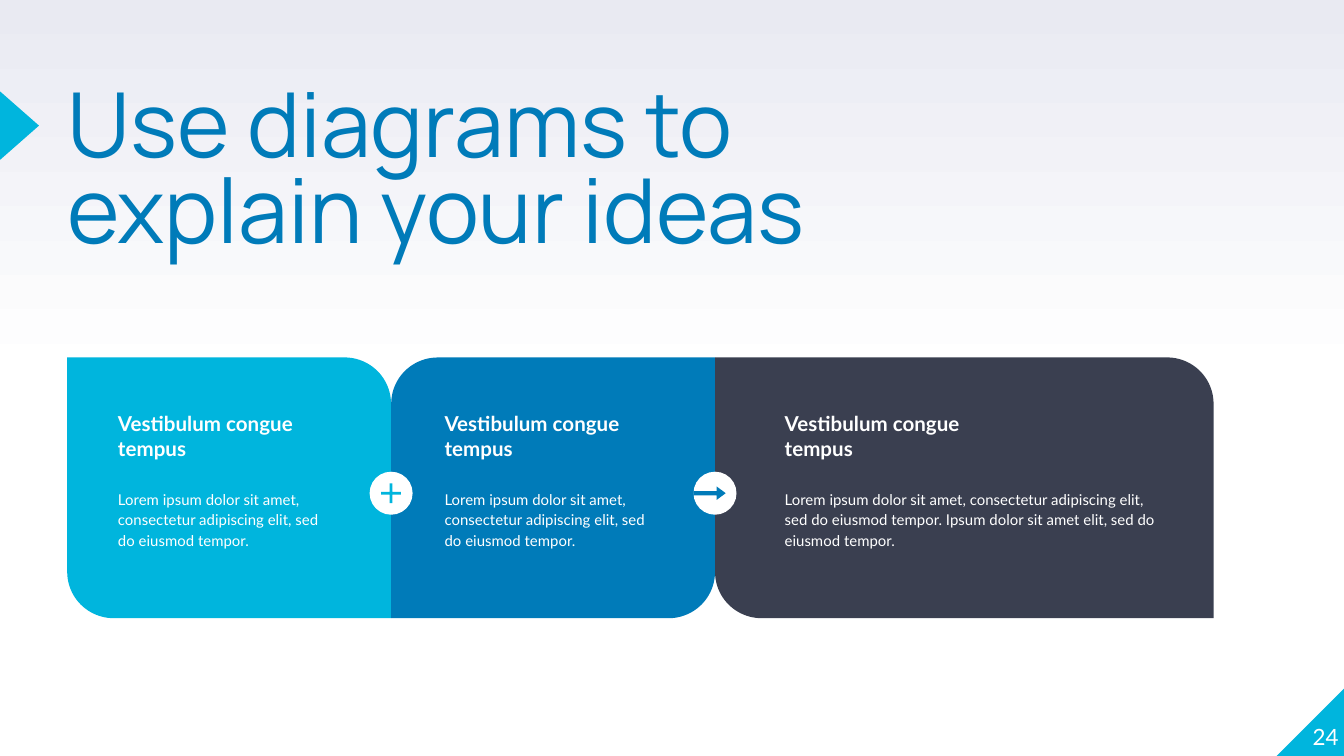
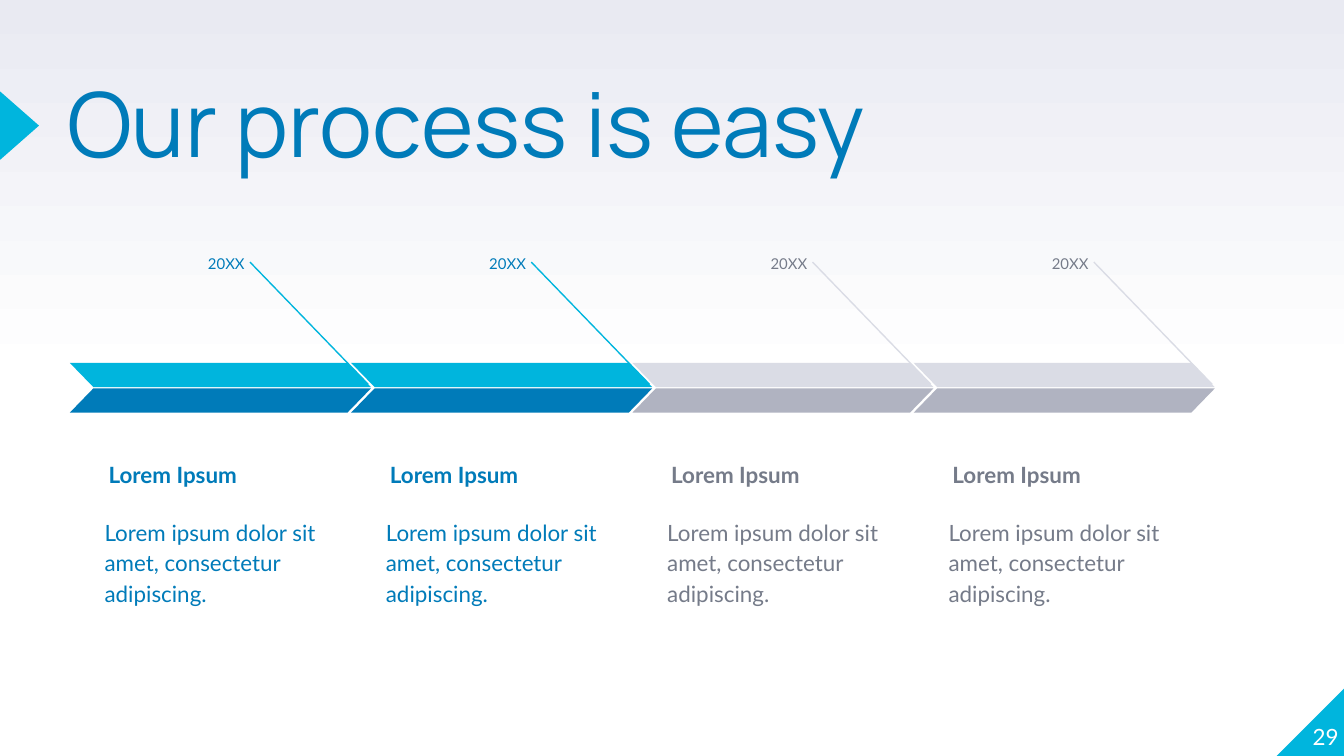
"""Build two slides: a three-card diagram and a four-step process timeline."""
import copy

from pptx import Presentation
from pptx import util as u
from pptx.dml.color import RGBColor
from pptx.enum import shapes, text
from pptx.oxml.ns import qn

W, H = 10, 5.625
CYAN, BLUE, NAVY, WHITE = "00B5DD", "007BB9", "3A3F50", "FFFFFF"
PALE, SILVER, GRAY, MIST = "DADCE5", "B0B3C1", "757B89", "E9EAF2"
MSO = shapes.MSO_SHAPE
RIGHT, BOTTOM = text.PP_ALIGN.RIGHT, text.MSO_ANCHOR.BOTTOM

TITLE = dict(size=48, font="Manrope", color=BLUE, inset=0, line_spacing=0.8)
NUMBER = dict(size=12, color=WHITE, inset=0, alignment=RIGHT, anchor=BOTTOM)
CARD_HEAD = dict(size=11, color=WHITE, bold=True)
BODY = dict(line_spacing=1.15, space_after=u.Pt(16))
CARD_BODY = dict(BODY, size=8, color=WHITE)
YEAR = dict(BODY, size=8, alignment=RIGHT)
STEP_HEAD = dict(size=12, bold=True, line_spacing=1.15, anchor=BOTTOM)
STEP_BODY = dict(BODY, size=12)

LOREM = "Lorem ipsum dolor sit amet, consectetur adipiscing elit, sed do eiusmod tempor."
CARDS = [
    dict(fill=CYAN, width=2.41, indent=0.28, text_width=1.8, turned=False,
         head="Vestibulum congue tempus", body=LOREM),
    dict(fill=BLUE, width=2.41, indent=0.3, text_width=1.8, turned=True,
         head="Vestibulum congue tempus", body=LOREM),
    dict(fill=NAVY, width=3.71, indent=0.42, text_width=2.99, turned=False,
         head="Vestibulum congue\vtempus",
         body=LOREM + " Ipsum dolor sit amet elit, sed do eiusmod tempor."),
]
DONE = dict(upper=CYAN, lower=BLUE, ink=BLUE)
NEXT = dict(upper=PALE, lower=SILVER, ink=GRAY)
STEP_TEXT = ("20XX", "Lorem Ipsum", "Lorem ipsum dolor sit amet, consectetur adipiscing.")
STEPS = [(state, *STEP_TEXT) for state in (DONE, DONE, NEXT, NEXT)]


def rgb(value):
    """Turn a hex string into a colour."""
    return RGBColor.from_string(value)


def inches(*values):
    """Turn numbers into lengths."""
    return [u.Inches(v) for v in values]


def add_shape(s, kind, box, fill, adj=(), flip=False, rotation=0):
    """Add a flat, unlined preset shape."""
    sp = s.shapes.add_shape(kind, *inches(*box))
    sp.shadow.inherit = False
    sp.fill.solid()
    sp.fill.fore_color.rgb = rgb(fill)
    sp.line.fill.background()
    sp.rotation = rotation
    for i, value in enumerate(adj):
        sp.adjustments[i] = value
    if flip:
        sp._element.spPr.xfrm.set("flipH", "1")


def add_text(s, box, content, size, color, font="Lato", bold=False, inset=0.1,
             anchor=text.MSO_ANCHOR.TOP, **paragraph):
    """Add a wrapped text box with one styled paragraph."""
    tf = s.shapes.add_textbox(*inches(*box)).text_frame
    tf.word_wrap, tf.vertical_anchor = True, anchor
    for side in ("left", "right", "top", "bottom"):
        setattr(tf, f"margin_{side}", u.Inches(inset))
    p = tf.paragraphs[0]
    p.text = content
    for name, value in paragraph.items():
        setattr(p, name, value)
    for r in p.runs:
        for name, value in dict(size=u.Pt(size), name=font, bold=bold).items():
            setattr(r.font, name, value)
        r.font.color.rgb = rgb(color)


def add_line(s, start, end, color, width=0.75):
    """Add a straight line without a shadow."""
    c = s.shapes.add_connector(shapes.MSO_CONNECTOR.STRAIGHT, *inches(*start, *end))
    c.line.color.rgb, c.line.width = rgb(color), u.Pt(width)
    spPr = c._element.spPr
    spPr.append(spPr.makeelement(qn("a:effectLst"), {}))


def add_slide(prs, title, number):
    """Add a slide with the shared background, corner, marker, title and number."""
    s = prs.slides.add_slide(prs.slide_layouts[6])
    fill = s.background.fill
    fill.gradient()
    fill.gradient_angle = 90
    stops = s._element.xpath("p:cSld/p:bg//a:gsLst")[0]
    stops.insert(1, copy.deepcopy(stops[0]))
    for stop, (position, color) in zip(fill.gradient_stops, [(0, WHITE), (0.5, WHITE), (1, MIST)]):
        stop.position = position
        stop.color.rgb = rgb(color)
    corner = 0.51
    add_shape(s, MSO.RIGHT_TRIANGLE, (W - 0.5, H - corner, corner, corner), CYAN, flip=True)
    add_shape(s, MSO.ISOSCELES_TRIANGLE, (-0.11, 0.79, 0.51, 0.29), CYAN, rotation=90)
    add_text(s, (0.5, 0.66, 6.17, 1.18), title, **TITLE)
    add_text(s, (9.46, 5.07, 0.5, 0.51), number, **NUMBER)
    return s


def add_cards(s, left=0.5, top=2.66, height=1.94, badge=0.32):
    """Place the cards edge to edge with a badge on each seam."""
    seams = []
    for card in CARDS:
        turned = card["turned"]
        add_shape(s, MSO.ROUND_2_DIAG_RECTANGLE, (left, top, card["width"], height),
                  card["fill"], (0, 0.178), turned, 180 if turned else 0)
        x, width = left + card["indent"], card["text_width"]
        add_text(s, (x, top + 0.3, width, 0.57), card["head"], **CARD_HEAD)
        add_text(s, (x, top + 0.87, width, 0.63), card["body"], **CARD_BODY)
        left += card["width"]
        seams.append(left)
    plus, arrow = seams[:2]
    middle = top + 1.01
    for x in (plus, arrow):
        add_shape(s, MSO.OVAL, (x - badge / 2, middle - badge / 2, badge, badge), WHITE)
    add_shape(s, MSO.MATH_PLUS, (plus - 0.1, middle - 0.1, 0.2, 0.2), CYAN, [0.099])
    add_shape(s, MSO.RIGHT_ARROW, (arrow - badge / 2, middle - 0.05, 0.24, 0.1), BLUE, (0.32, 0.67))


def add_steps(s, left=0.52, pitch=2.093, top=2.7, width=2.24, height=0.18):
    """Place the steps at an equal pitch along the two-tone band."""
    for i, (state, year, head, body) in enumerate(STEPS):
        x, ink = left + i * pitch, state["ink"]
        add_text(s, (x + 0.64, 1.8, 0.76, 0.29), year, color=ink, **YEAR)
        add_text(s, (x + 0.19, 3.18, 1.84, 0.55), head, color=ink, **STEP_HEAD)
        add_text(s, (x + 0.16, 3.73, 1.89, 0.9), body, color=ink, **STEP_BODY)
        add_line(s, (x + 1.34, 1.95), (x + 2.22, 2.86), state["upper"])
        for y, color, flip in ((top, state["upper"], True), (top + 0.19, state["lower"], False)):
            add_shape(s, MSO.PARALLELOGRAM, (x, y, width, height), color, [0.97], flip)


def main():
    """Build and save the presentation."""
    prs = Presentation()
    prs.slide_width, prs.slide_height = inches(W, H)
    add_cards(add_slide(prs, "Use diagrams to explain your ideas", "24"))
    add_steps(add_slide(prs, "Our process is easy", "29"))
    prs.save("out.pptx")


if __name__ == "__main__":
    main()
